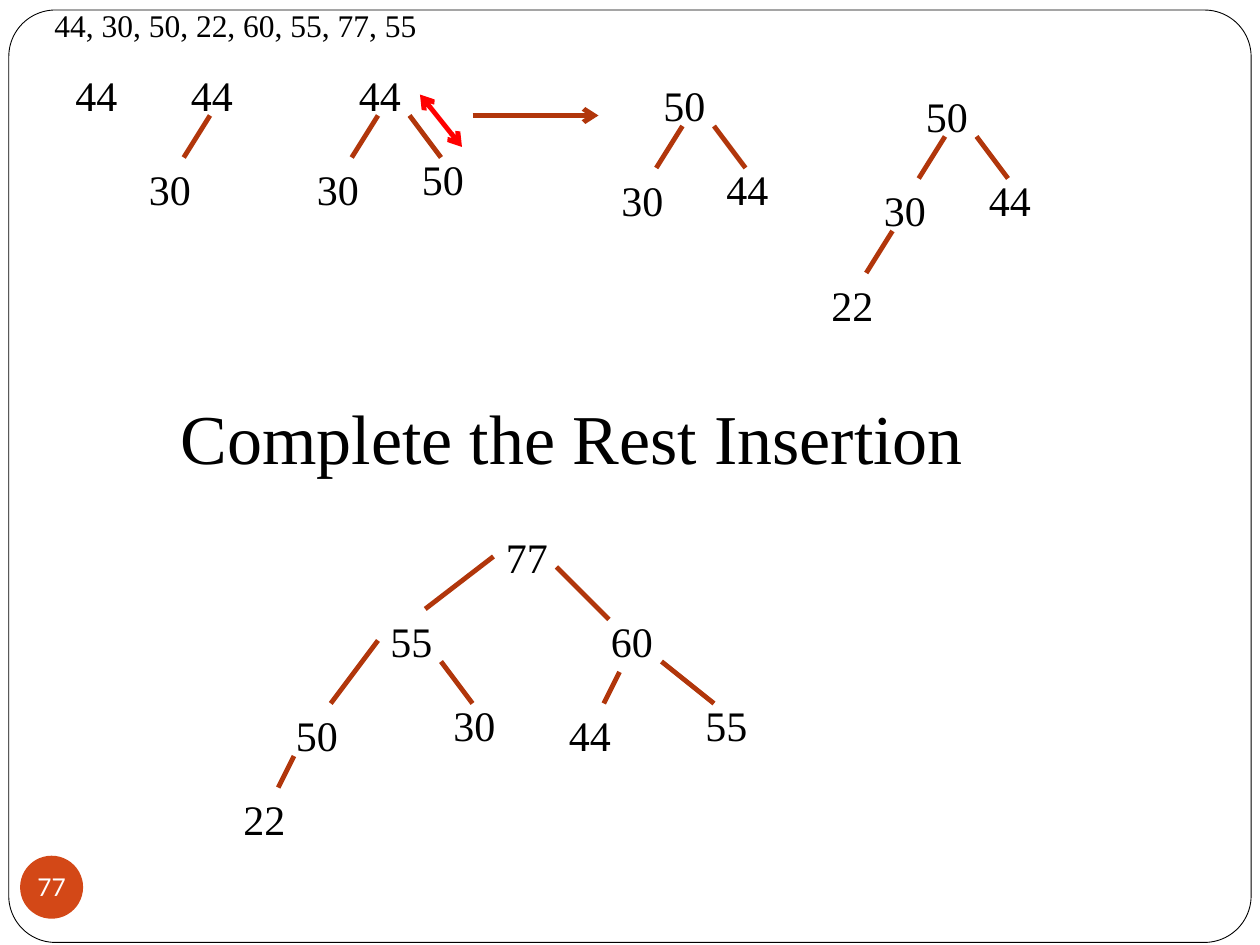
"""Build a slide of heap insertions drawn as binary trees."""
from pptx import Presentation
from pptx import util as u
from pptx.dml import color
from pptx.enum import shapes, text
from pptx.oxml import ns
from lxml import etree

COLORS = {"ink": "000000", "paper": "FFFFFF", "edge": "B1360B",
          "swap": "FF0000", "badge": "D34817"}
SERIF = "Times New Roman"
NODE_SIZE = (54, 36)
INSERTIONS = [
    (102, 36, ["44", "30"]),
    (198, 36, ["44", "30", "50"]),
    (372, 42, ["50", "30", "44"]),
    (522, 48, ["50", "30", "44"]),
]
CHILDREN = [((-24, 54), (18, 30, 3, 54)), ((36, 48), (36, 30, 54, 54))]
FINAL_NODES = [
    ("77", 282, 300), ("55", 216, 348), ("60", 342, 348), ("50", 162, 402),
    ("30", 252, 396), ("22", 132, 450), ("44", 318, 402), ("55", 396, 396),
]
FINAL_EDGES = [
    (282, 318, 243, 348), (216, 366, 189, 402), (168, 432, 159, 450),
    (252, 378, 270, 402), (318, 324, 348, 354), (354, 384, 345, 402),
    (378, 378, 408, 402),
]


def rgb(name):
    """Return the named colour."""
    return color.RGBColor.from_string(COLORS[name])


def write(tf, words, size, font=SERIF, ink="ink", align=text.PP_ALIGN.LEFT):
    """Put one formatted run into a text frame."""
    p = tf.paragraphs[0]
    p.alignment = align
    r = p.add_run()
    r.text = words
    r.font.size = u.Pt(size)
    r.font.name = font
    r.font.color.rgb = rgb(ink)


def add_label(parent, words, x, y, size=24, box=NODE_SIZE):
    """Add a text box that holds a label."""
    sp = parent.add_textbox(*map(u.Pt, (x, y, *box)))
    tf = sp.text_frame
    tf.word_wrap = True
    tf.auto_size = text.MSO_AUTO_SIZE.SHAPE_TO_FIT_TEXT
    write(tf, words, size)


def add_line(parent, ends, ink="edge", heads=()):
    """Add a straight line with optional arrowheads."""
    sp = parent.add_connector(shapes.MSO_CONNECTOR.STRAIGHT, *map(u.Pt, ends))
    sp.line.color.rgb = rgb(ink)
    sp.line.width = u.Pt(2.75)
    ln = sp.line._get_or_add_ln()
    for head in heads:
        etree.SubElement(ln, ns.qn(f"a:{head}"), type="arrow")
    etree.SubElement(sp._element.spPr, ns.qn("a:effectLst"))


def add_tree(s, x, y, values):
    """Add a grouped root with its one or two children."""
    parent = s.shapes.add_group_shape().shapes
    add_label(parent, values[0], x, y)
    for value, ((dx, dy), (x1, y1, x2, y2)) in zip(values[1:], CHILDREN):
        add_label(parent, value, x + dx, y + dy)
        add_line(parent, (x + x1, y + y1, x + x2, y + y2))


def add_panel(s, kind, box, fill):
    """Add a filled preset shape without an outline."""
    sp = s.shapes.add_shape(kind, *map(u.Pt, box))
    sp.shadow.inherit = False
    sp.fill.solid()
    sp.fill.fore_color.rgb = rgb(fill)
    sp.line.fill.background()
    return sp


def add_frame(s):
    """Add the rounded slide frame."""
    sp = add_panel(s, shapes.MSO_SHAPE.ROUNDED_RECTANGLE,
                   (5.04, 5.76, 709.92, 532.8), "paper")
    sp.adjustments[0] = 0.05
    sp.line.color.rgb = rgb("ink")
    sp.line.width = u.Pt(0.5)


def add_badge(s):
    """Add the round page number."""
    sp = add_panel(s, shapes.MSO_SHAPE.OVAL, (11.5, 489, 36, 36), "badge")
    tf = sp.text_frame
    tf.word_wrap = False
    tf.vertical_anchor = text.MSO_ANCHOR.MIDDLE
    tf.margin_left = tf.margin_right = tf.margin_top = tf.margin_bottom = 0
    write(tf, "77", 14, "Lato", "paper", text.PP_ALIGN.CENTER)


def set_title(s):
    """Place and format the title above the frame."""
    sp = s.shapes.title
    sp.left, sp.top, sp.width, sp.height = map(u.Pt, (96, 222, 552, 55.5))
    tf = sp.text_frame
    tf.word_wrap = True
    tf.auto_size = text.MSO_AUTO_SIZE.SHAPE_TO_FIT_TEXT
    tf.vertical_anchor = text.MSO_ANCHOR.TOP
    write(tf, "Complete the Rest Insertion", 40)
    sp._element.getparent().append(sp._element)


def main():
    """Build and save the slide."""
    prs = Presentation()
    prs.slide_width, prs.slide_height = u.Pt(720), u.Pt(540)
    s = prs.slides.add_slide(prs.slide_layouts[5])
    add_frame(s)
    add_badge(s)
    add_label(s.shapes, "44", 36, 36)
    add_label(s.shapes, "44, 30, 50, 22, 60, 55, 77, 55", 24, 0, 18, (552, 51))
    for x, y, values in INSERTIONS:
        add_tree(s, x, y, values)
    add_line(s.shapes, (270, 66, 342, 66), heads=["tailEnd"])
    add_line(s.shapes, (240, 54, 264, 84), "swap", ["headEnd", "tailEnd"])
    add_label(s.shapes, "22", 468, 156)
    add_line(s.shapes, (510, 132, 495, 156))
    set_title(s)
    for value, x, y in FINAL_NODES:
        add_label(s.shapes, value, x, y)
    for ends in FINAL_EDGES:
        add_line(s.shapes, ends)
    prs.save("out.pptx")


if __name__ == "__main__":
    main()
